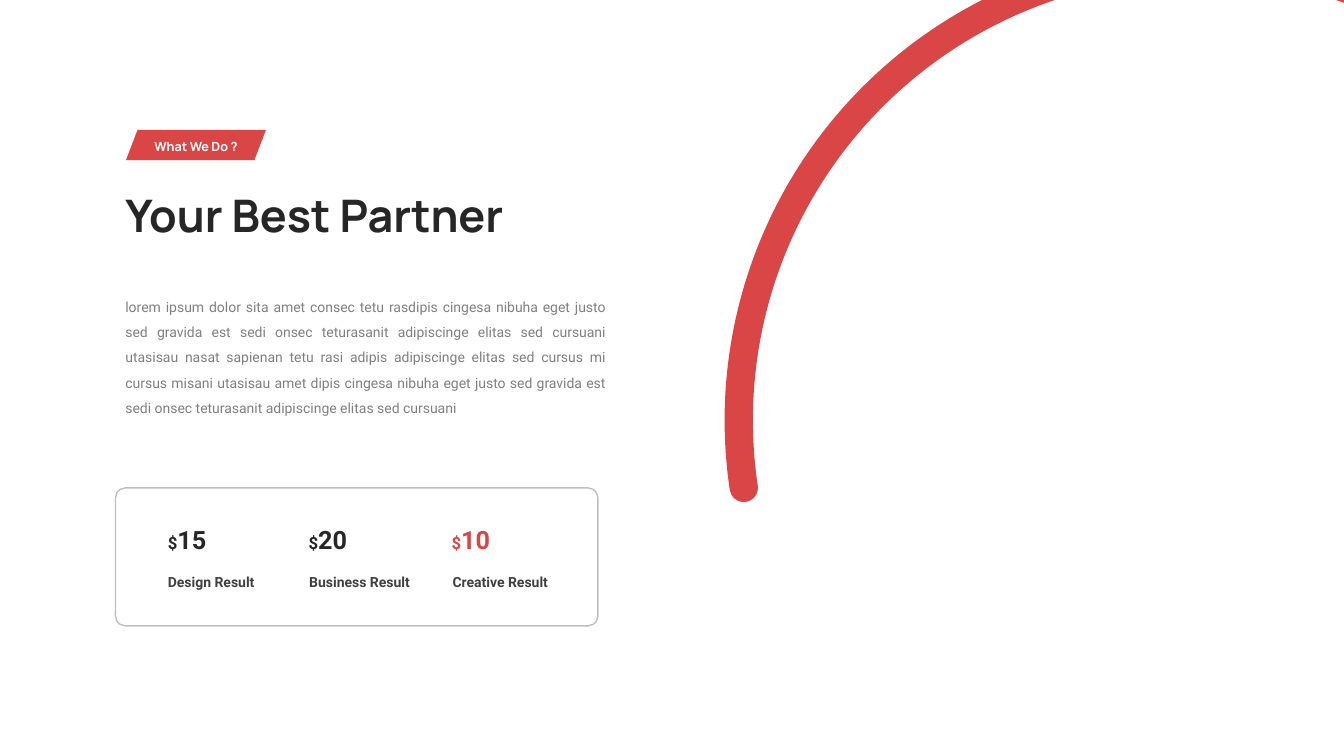
from math import asin, cos, degrees, radians, sin

from lxml.etree import SubElement
from pptx import Presentation
from pptx.dml.color import RGBColor
from pptx.enum.shapes import MSO_SHAPE
from pptx.enum.text import MSO_AUTO_SIZE, PP_ALIGN
from pptx.oxml.ns import qn
from pptx.util import Pt

RED = RGBColor(0xDA, 0x46, 0x46)
WHITE = RGBColor(0xFF, 0xFF, 0xFF)
INK = RGBColor(0x26, 0x26, 0x26)
DARK_GREY = RGBColor(0x40, 0x40, 0x40)
GREY = RGBColor(0x80, 0x80, 0x80)
BORDER = RGBColor(0xBF, 0xBF, 0xBF)

prs = Presentation()
prs.slide_width, prs.slide_height = Pt(960), Pt(540)
slide = prs.slides.add_slide(prs.slide_layouts[6])
shapes = slide.shapes


def add_text(left, top, width, height, runs, font, color, bold=True,
             spacing=None, align=PP_ALIGN.LEFT, wrap=True):
    """Add a one-paragraph text box; runs holds (text, size) pairs."""
    frame = shapes.add_textbox(Pt(left), Pt(top), Pt(width), Pt(height)).text_frame
    frame.word_wrap = wrap
    frame.auto_size = MSO_AUTO_SIZE.SHAPE_TO_FIT_TEXT
    paragraph = frame.paragraphs[0]
    paragraph.alignment = align
    paragraph.line_spacing = spacing
    paragraph.font.name = font
    paragraph.font.bold = bold
    paragraph.font.color.rgb = color
    for text, size in runs:
        run = paragraph.add_run()
        run.text = text
        run.font.size = Pt(size)


def on_circle(x, y, radius, angle):
    """A point on a circle; 0 degrees is its left side, 90 its top."""
    return Pt(x - radius * cos(radians(angle))), Pt(y - radius * sin(radians(angle)))


# Heading
add_text(82.5, 130.3, 335.5, 46, [("Your Best Partner", 32)], "Manrope", INK)

# Results card
card = shapes.add_shape(MSO_SHAPE.ROUNDED_RECTANGLE, Pt(82.5), Pt(348.5), Pt(344.6), Pt(98.6))
card.adjustments[0] = 0.073
card.shadow.inherit = False
card.fill.solid()
card.fill.fore_color.rgb = WHITE
card.line.color.rgb = BORDER
card.line.width = Pt(1)

results = [
    (112.8, 112.8, 82.8, "15", "Design Result", INK),
    (213.3, 213.8, 95.8, "20", "Business Result", INK),
    (315.5, 316.2, 103.7, "10", "Creative Result", RED),
]
for amount_left, label_left, label_width, amount, label, color in results:
    add_text(amount_left, 371.2, 67, 28.8, [("$", 12), (amount, 18)], "Roboto", color)
    add_text(label_left, 400.3, label_width, 25.2, [(label, 10)], "Roboto", DARK_GREY,
             spacing=1.5)

# Tag
tag = shapes.add_shape(MSO_SHAPE.PARALLELOGRAM, Pt(90), Pt(92.8), Pt(100), Pt(21.6))
tag.adjustments[0] = 0.382
tag.shadow.inherit = False
tag.fill.solid()
tag.fill.fore_color.rgb = RED
tag.line.fill.background()
add_text(98.6, 95.6, 82.8, 18, [("What We Do ?", 9)], "Manrope", WHITE,
         align=PP_ALIGN.CENTER, wrap=False)

# Body text
body = (
    "lorem ipsum dolor sita amet consec tetu rasdipis cingesa nibuha eget justo "
    "sed gravida est sedi onsec teturasanit adipiscinge elitas sed cursuani "
    "utasisau nasat sapienan tetu rasi adipis adipiscinge elitas sed cursus mi "
    "cursus misani utasisau amet dipis cingesa nibuha eget justo sed gravida est "
    "sedi onsec teturasanit adipiscinge elitas sed cursuani"
)
add_text(82.5, 203.6, 357.1, 97.9, [(body, 10)], "Roboto", GREY, bold=False,
         spacing=1.5, align=PP_ALIGN.JUSTIFY)

# Ring with a round end, cut off by the slide's top and right edges
center_x, center_y = 854.6, 300.2
outer, inner = 337, 316.8
middle, cap = (outer + inner) / 2, (outer - inner) / 2
end = -8.5
outer_top, inner_top = (degrees(asin(center_y / r)) for r in (outer, inner))
cap_x = center_x - middle * cos(radians(end))
cap_y = center_y - middle * sin(radians(end))
arcs = [  # center x, center y, radius, start angle, end angle
    (center_x, center_y, outer, outer_top, 0),
    (center_x, center_y, outer, 0, end),
    (cap_x, cap_y, cap, end, -90),
    (cap_x, cap_y, cap, -90, end - 180),
    (center_x, center_y, inner, end, inner_top),
]
builder = shapes.build_freeform(*on_circle(center_x, center_y, outer, outer_top))
builder.add_line_segments([on_circle(x, y, r, stop) for x, y, r, _, stop in arcs], close=True)
builder.move_to(Pt(954.2), Pt(0))
builder.add_line_segments([(Pt(960), Pt(0)), (Pt(960), Pt(2))], close=True)
ring = builder.convert_to_shape()
ring.shadow.inherit = False
ring.fill.solid()
ring.fill.fore_color.rgb = RED
ring.line.fill.background()

# Bend the ring's straight sides into arcs
sides = list(ring._element.iter(qn("a:lnTo")))
for side, (_, _, radius, start, stop) in zip(sides, arcs):
    bend = SubElement(side.getparent(), qn("a:arcTo"))
    bend.set("wR", str(Pt(radius)))
    bend.set("hR", str(Pt(radius)))
    bend.set("stAng", str(round((start + 180) % 360 * 60000)))
    bend.set("swAng", str(round((stop - start) * 60000)))
    side.getparent().replace(side, bend)

prs.save("out.pptx")
